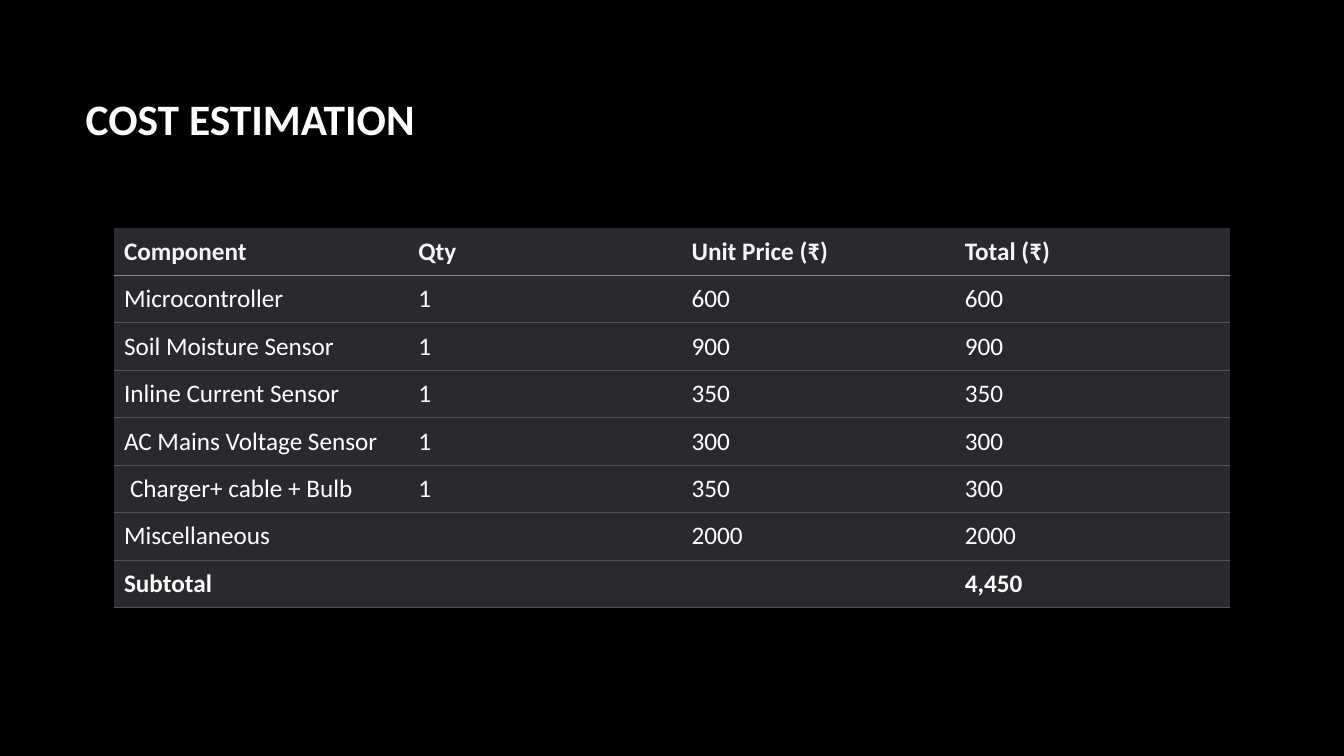
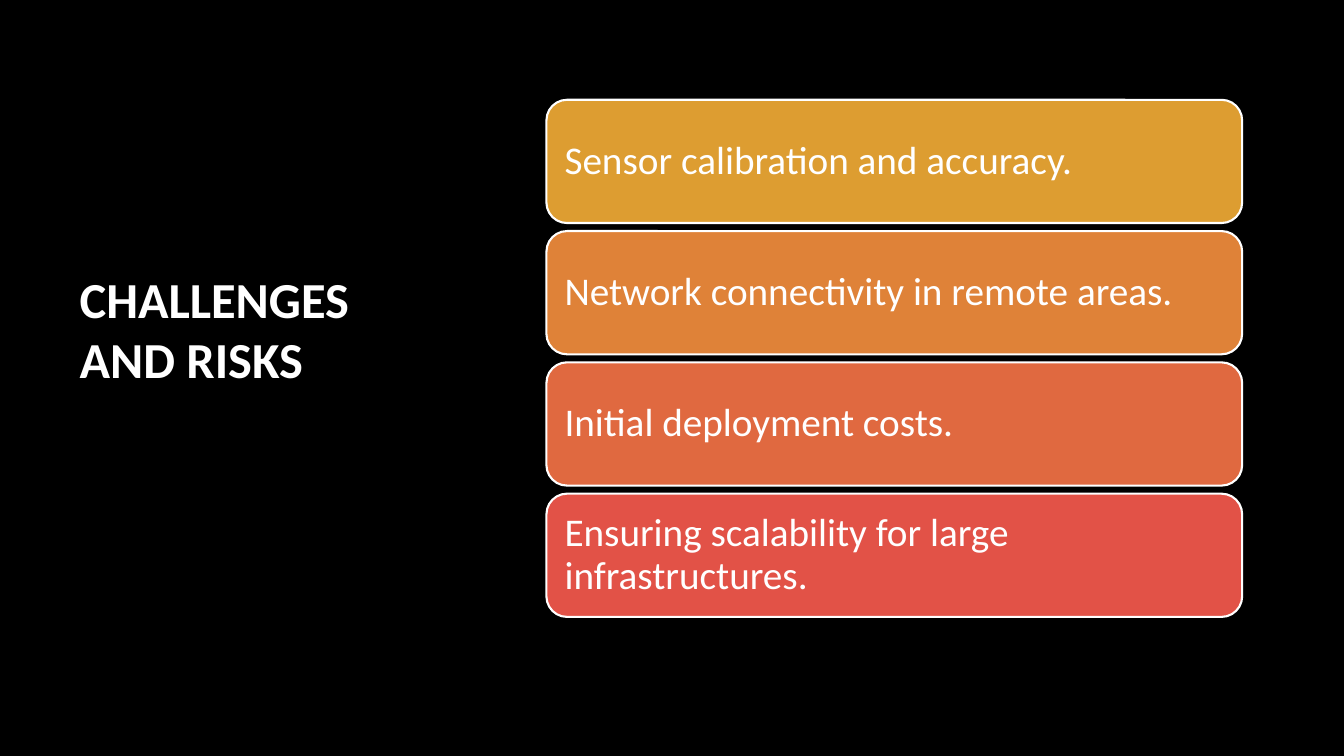
import pptx
import pptx.util
import pptx.dml.color
import pptx.enum.shapes
import pptx.enum.text
import pptx.oxml
import pptx.oxml.ns

Inches, Pt = pptx.util.Inches, pptx.util.Pt
MIDDLE = pptx.enum.text.MSO_ANCHOR.MIDDLE
LEFT = pptx.enum.text.PP_ALIGN.LEFT

# Shared look
FONT = "Calibri"
BLACK, WHITE, HEADING = "000000", "FFFFFF", "F5F5F5"
CELL, RULE, HEADING_RULE = "292A2D", "525252", "8B8B8B"

COSTS = [
    ("Component", "Qty", "Unit Price (₹)", "Total (₹)"),
    ("Microcontroller", "1", "600", "600"),
    ("Soil Moisture Sensor", "1", "900", "900"),
    ("Inline Current Sensor", "1", "350", "350"),
    ("AC Mains Voltage Sensor", "1", "300", "300"),
    ("Charger+ cable + Bulb", "1", "350", "300"),
    ("Miscellaneous", "", "2000", "2000"),
    ("Subtotal", "", "", "4,450"),
]
COST_WIDTHS = (2.94, 2.71, 2.71, 2.71)
INDENTED_ROW = 5

RISKS = [
    ("Sensor calibration and accuracy.", "DD9D31"),
    ("Network connectivity in remote areas.", "DF8238"),
    ("Initial deployment costs.", "E06940"),
    ("Ensuring scalability for large infrastructures.", "E25247"),
]


def paint(color_format, color):
    color_format.rgb = pptx.dml.color.RGBColor.from_string(color)


def fill_solid(fill, color):
    fill.solid()
    paint(fill.fore_color, color)


def apply(target, values):
    for name, value in values.items():
        setattr(target, name, value)


def style_paragraph(paragraph, size, color=WHITE, bold=False, spacing=1.0):
    apply(paragraph, {"alignment": LEFT, "line_spacing": spacing})
    apply(paragraph.font, {"name": FONT, "size": Pt(size), "bold": bold})
    paint(paragraph.font.color, color)


def add_titled_slide(prs, title, box, size, spacing):
    """Add a slide whose title placeholder fills the given box."""
    slide = prs.slides.add_slide(prs.slide_layouts.get_by_name("Title Only"))
    heading = slide.shapes.title
    apply(heading, dict(zip(("left", "top", "width", "height"), map(Inches, box))))
    frame = heading.text_frame
    frame.text = title
    apply(frame, {"word_wrap": True, "vertical_anchor": MIDDLE,
                  "auto_size": pptx.enum.text.MSO_AUTO_SIZE.NONE})
    style_paragraph(frame.paragraphs[0], size, bold=True, spacing=spacing)
    return slide


def set_borders(cell, top, bottom):
    """Rule the cell above and below, leaving its sides open."""
    borders = {"lnL": None, "lnR": None, "lnT": top, "lnB": bottom}
    for index, (tag, color) in enumerate(borders.items()):
        ink = (f'<a:solidFill><a:srgbClr val="{color}"/></a:solidFill>'
               if color else "<a:noFill/>")
        line = pptx.oxml.parse_xml(
            f'<a:{tag} {pptx.oxml.ns.nsdecls("a")} w="{Pt(0.48)}">{ink}</a:{tag}>')
        cell._tc.get_or_add_tcPr().insert(index, line)


def add_cost_table(slide, left, top, width, height):
    table = slide.shapes.add_table(
        len(COSTS), len(COST_WIDTHS), *map(Inches, (left, top, width, height))).table
    apply(table, {"first_row": False, "horz_banding": False})
    for column, column_width in zip(table.columns, COST_WIDTHS):
        column.width = Inches(column_width)
    # One rule above the first row, then one below each row
    rules = [None, HEADING_RULE] + [RULE] * (len(COSTS) - 1)
    for r, entries in enumerate(COSTS):
        is_heading, is_total = r == 0, r == len(COSTS) - 1
        for c, entry in enumerate(entries):
            cell = table.cell(r, c)
            cell.text = entry
            inset = 0.08 if c else 0.16 if r == INDENTED_ROW else 0.1
            apply(cell, {"vertical_anchor": MIDDLE, "margin_left": Inches(inset),
                         "margin_right": Inches(0.08), "margin_top": Inches(0.08),
                         "margin_bottom": Inches(0.08)})
            fill_solid(cell.fill, CELL)
            set_borders(cell, rules[r], rules[r + 1])
            style_paragraph(cell.text_frame.paragraphs[0], 18,
                            HEADING if is_heading else WHITE, is_heading or is_total)


def add_risk_cards(slide, left, top, width, height, gap=0.08):
    """Stack equal cards, one per risk, down the given box."""
    card_height = (height - gap * (len(RISKS) - 1)) / len(RISKS)
    for index, (risk, color) in enumerate(RISKS):
        card = slide.shapes.add_shape(
            pptx.enum.shapes.MSO_SHAPE.ROUNDED_RECTANGLE, Inches(left),
            Inches(top + index * (card_height + gap)), Inches(width), Inches(card_height))
        card.shadow.inherit = False
        fill_solid(card.fill, color)
        paint(card.line.color, WHITE)
        card.line.width = Pt(1.5)
        frame = card.text_frame
        frame.text = risk
        apply(frame, {"word_wrap": True, "vertical_anchor": MIDDLE})
        apply(frame, {f"margin_{side}": Inches(0.12)
                      for side in ("left", "right", "top", "bottom")})
        style_paragraph(frame.paragraphs[0], 28, spacing=0.9)


def main():
    prs = pptx.Presentation()
    apply(prs, {"slide_width": Inches(13.33), "slide_height": Inches(7.5)})
    fill_solid(prs.slide_master.background.fill, BLACK)

    # Cost table
    costs = add_titled_slide(prs, "COST ESTIMATION", (0.75, 0.41, 11.08, 1.59), 31, 0.9)
    add_cost_table(costs, 1.13, 2.26, sum(COST_WIDTHS), 3.77)

    # Risk cards beside the title
    risks = add_titled_slide(prs, "CHALLENGES AND RISKS", (0.69, 0.37, 3.73, 5.77), 36, 1.0)
    add_risk_cards(risks, 5.42, 0.99, 6.9, 5.13)

    prs.save("out.pptx")


if __name__ == "__main__":
    main()
